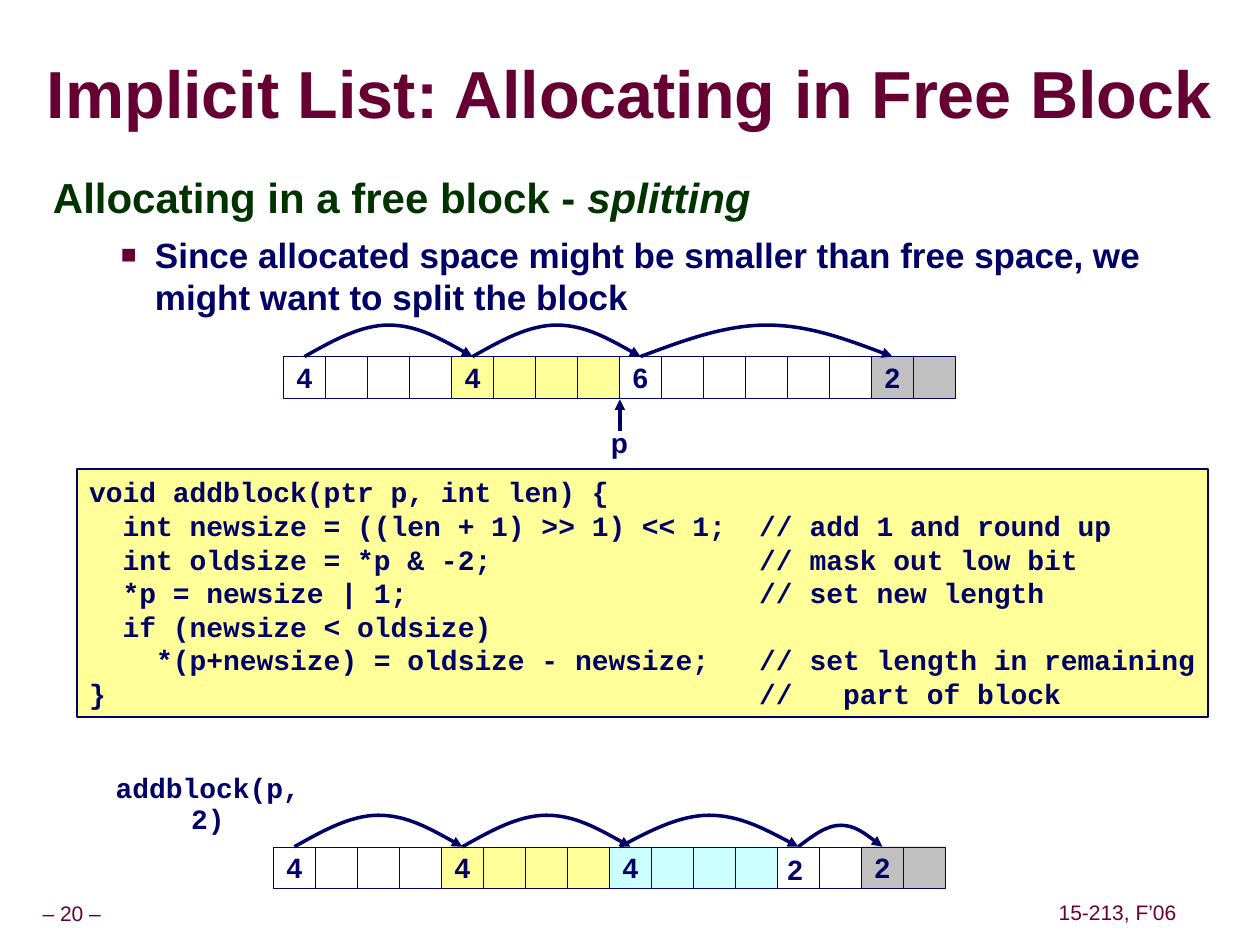
from lxml import etree
from pptx import Presentation
from pptx.dml.color import RGBColor
from pptx.enum.shapes import MSO_CONNECTOR, MSO_SHAPE
from pptx.enum.text import MSO_ANCHOR, MSO_AUTO_SIZE, PP_ALIGN
from pptx.oxml import parse_xml
from pptx.oxml.ns import nsdecls, qn
from pptx.util import Inches, Pt

LEFT, CENTER = PP_ALIGN.LEFT, PP_ALIGN.CENTER
TOP, MIDDLE = MSO_ANCHOR.TOP, MSO_ANCHOR.MIDDLE
FIXED, GROW = MSO_AUTO_SIZE.NONE, MSO_AUTO_SIZE.SHAPE_TO_FIT_TEXT
RECTANGLE = MSO_SHAPE.RECTANGLE
STRAIGHT = MSO_CONNECTOR.STRAIGHT

MAROON = RGBColor(0x66, 0x00, 0x33)
GREEN = RGBColor(0x00, 0x33, 0x00)
NAVY = RGBColor(0x00, 0x00, 0x66)
WHITE = RGBColor(0xFF, 0xFF, 0xFF)
YELLOW = RGBColor(0xFF, 0xFF, 0x99)
CYAN = RGBColor(0xCC, 0xFF, 0xFF)
GRAY = RGBColor(0xC0, 0xC0, 0xC0)

CELL = 1 / 3
ARC_HEIGHT = 0.25

CODE = """void addblock(ptr p, int len) {
  int newsize = ((len + 1) >> 1) << 1;  // add 1 and round up
  int oldsize = *p & -2;                // mask out low bit
  *p = newsize | 1;                     // set new length
  if (newsize < oldsize)
    *(p+newsize) = oldsize - newsize;   // set length in remaining
}                                       //   part of block"""


def add_run(paragraph, text, font="Arial", size=16, color=NAVY, bold=True, italic=False):
    run = paragraph.add_run()
    run.text = text
    run.font.name = font
    run.font.size = Pt(size)
    run.font.bold = bold
    run.font.italic = italic
    run.font.color.rgb = color
    return run


def set_bullet(paragraph, left=0, hanging=0, character=None, color=MAROON):
    properties = paragraph._p.get_or_add_pPr()
    properties.set("marL", str(Inches(left)))
    properties.set("indent", str(-Inches(hanging)))
    if character is None:
        etree.SubElement(properties, qn("a:buNone"))
        return
    bullet_color = etree.SubElement(properties, qn("a:buClr"))
    etree.SubElement(bullet_color, qn("a:srgbClr"), val=str(color))
    etree.SubElement(properties, qn("a:buSzPct"), val="75000")
    etree.SubElement(properties, qn("a:buFont"), typeface="Arial")
    etree.SubElement(properties, qn("a:buChar"), char=character)


class SlideBuilder:
    """Holds the current slide and the drawing style."""

    def __init__(self, slide, line_color=NAVY):
        self.slide = slide
        self.line_color = line_color

    def place(self, shape, left, top, width, height):
        shape.left, shape.top = Inches(left), Inches(top)
        shape.width, shape.height = Inches(width), Inches(height)

    def setup_frame(self, shape, anchor=TOP, inset=(0.1, 0.05), wrap=False, auto_size=FIXED):
        frame = shape.text_frame
        frame.auto_size = auto_size
        frame.word_wrap = wrap
        frame.vertical_anchor = anchor
        frame.margin_left = frame.margin_right = Inches(inset[0])
        frame.margin_top = frame.margin_bottom = Inches(inset[1])
        return frame

    def fill_frame(self, frame, text, align=LEFT, spacing=1.0, **style):
        for index, line in enumerate(text.split("\n")):
            paragraph = frame.add_paragraph() if index else frame.paragraphs[0]
            paragraph.alignment = align
            paragraph.line_spacing = spacing
            add_run(paragraph, line, **style)

    def title(self, text):
        shape = self.slide.shapes.title
        self.place(shape, 0.29, 0.46, 9.42, 0.63)
        frame = self.setup_frame(shape, MIDDLE, (0, 0), wrap=True)
        self.fill_frame(frame, text, CENTER, 0.87, size=38, color=MAROON)
        # Text shadow follows the colour fill
        fill = frame.paragraphs[0].runs[0].font._element.find(qn("a:solidFill"))
        fill.addnext(parse_xml(
            f'<a:effectLst {nsdecls("a")}><a:outerShdw dist="38100" dir="2700000">'
            '<a:srgbClr val="999999"/></a:outerShdw></a:effectLst>'))

    def body(self, heading, emphasis, point):
        shape = self.slide.placeholders[1]
        self.place(shape, 0.32, 1.34, 9.09, 5.71)
        frame = self.setup_frame(shape, wrap=True)
        first = frame.paragraphs[0]
        set_bullet(first, 0.42, 0.42)
        first.line_spacing = 0.95
        first.space_before = Pt(0)
        add_run(first, heading, size=24, color=GREEN)
        add_run(first, emphasis, size=24, color=GREEN, italic=True)
        second = frame.add_paragraph()
        second.level = 1
        set_bullet(second, 0.81, 0.27, "■")
        second.line_spacing = 1.0
        second.space_before = Pt(6.2)
        add_run(second, point, size=20)

    def label(self, text, left, top, width, height, anchor=TOP, inset=(0.1, 0.05), **style):
        box = self.slide.shapes.add_textbox(
            Inches(left), Inches(top), Inches(width), Inches(height))
        self.fill_frame(self.setup_frame(box, anchor, inset, auto_size=GROW), text, **style)

    def rectangle(self, left, top, width, height, fill, line_width):
        shape = self.slide.shapes.add_shape(
            RECTANGLE, Inches(left), Inches(top), Inches(width), Inches(height))
        shape.shadow.inherit = False
        shape.fill.solid()
        shape.fill.fore_color.rgb = fill
        shape.line.color.rgb = self.line_color
        shape.line.width = Pt(line_width)
        return shape

    def code_box(self, code, left, top, width, height):
        shape = self.rectangle(left, top, width, height, YELLOW, 1)
        self.fill_frame(self.setup_frame(shape, auto_size=GROW), code, font="Courier New")

    def arrow_line(self, shape):
        shape.line.color.rgb = self.line_color
        shape.line.width = Pt(2)
        line = shape._element.spPr.find(qn("a:ln"))
        etree.SubElement(line, qn("a:tailEnd"), type="triangle")

    def arrow(self, x, start, end):
        connector = self.slide.shapes.add_connector(
            STRAIGHT, Inches(x), Inches(start), Inches(x), Inches(end))
        self.arrow_line(connector)
        etree.SubElement(connector._element.spPr, qn("a:effectLst"))

    def arc(self, start, end, base, height):
        # Two cubic curves: relative x positions and heights of their points
        points = [(1 / 6, 0.5), (1 / 3, 1), (1 / 2, 1), (2 / 3, 1), (5 / 6, 0.5), (1, 0)]
        freeform = self.slide.shapes.build_freeform(Inches(start), Inches(base))
        freeform.add_line_segments(
            [(Inches(start + (end - start) * x), Inches(base - height * y)) for x, y in points],
            close=False)
        shape = freeform.convert_to_shape()
        shape.shadow.inherit = False
        shape.fill.background()
        segments = list(shape._element.iter(qn("a:lnTo")))
        outline = segments[0].getparent()
        for first in (0, 3):
            curve = etree.SubElement(outline, qn("a:cubicBezTo"))
            for segment in segments[first:first + 3]:
                curve.append(segment[0])
                outline.remove(segment)
        self.arrow_line(shape)

    def memory_row(self, left, top, blocks, arcs):
        """Draw blocks of (size, fill, label) and arcs of (from cell, to cell, height)."""
        index = 0
        for size, fill, text in blocks:
            for offset in range(size):
                cell = self.rectangle(left + index * CELL, top, CELL, CELL, fill, 0.25)
                if offset == 0 and text:
                    self.fill_frame(self.setup_frame(cell, MIDDLE), text, CENTER)
                index += 1
        for start, end, height in arcs:
            self.arc(left + (start + 0.5) * CELL, left + (end + 0.5) * CELL, top, height)


def main():
    presentation = Presentation()
    presentation.slide_width, presentation.slide_height = Inches(10), Inches(7.5)
    builder = SlideBuilder(presentation.slides.add_slide(presentation.slide_layouts[1]))

    # Footer
    footer = dict(anchor=MIDDLE, inset=(0.05, 0.05), align=CENTER, spacing=0.9,
                  size=12, color=MAROON, bold=False)
    builder.label("– 20 –", 0, 7.12, 1.14, 0.28, **footer)
    builder.label("15-213, F’06", 8.35, 7.11, 1.04, 0.28, **footer)

    # Title and list
    builder.title("Implicit List: Allocating in Free Block")
    builder.body("Allocating in a free block - ", "splitting",
                 "Since allocated space might be smaller than free space, "
                 "we might want to split the block")

    # Code
    builder.code_box(CODE, 0.61, 3.72, 8.98, 1.97)

    # Memory before the split
    builder.memory_row(
        2.25, 2.83,
        [(4, WHITE, "4"), (4, YELLOW, "4"), (6, WHITE, "6"), (2, GRAY, "2")],
        [(0, 4, ARC_HEIGHT), (4, 8, ARC_HEIGHT), (8, 14, ARC_HEIGHT)])
    builder.arrow(4.92, 3.42, 3.17)
    builder.label("p", 4.75, 3.33, 0.33, 0.37)

    # Memory after the split
    builder.label("addblock(p, 2)", 0.67, 6.1, 1.96, 0.34, inset=(0.05, 0.05),
                  align=CENTER, spacing=0.9, font="Courier New")
    builder.memory_row(
        2.17, 6.72,
        [(4, WHITE, "4"), (4, YELLOW, "4"), (4, CYAN, "4"), (2, WHITE, ""), (2, GRAY, "2")],
        [(0, 4, ARC_HEIGHT), (4, 8, ARC_HEIGHT), (7.75, 12, ARC_HEIGHT), (12, 14, 0.17)])
    builder.label("2", 6.15, 6.72, 0.32, 0.37)

    presentation.save("out.pptx")


if __name__ == "__main__":
    main()
